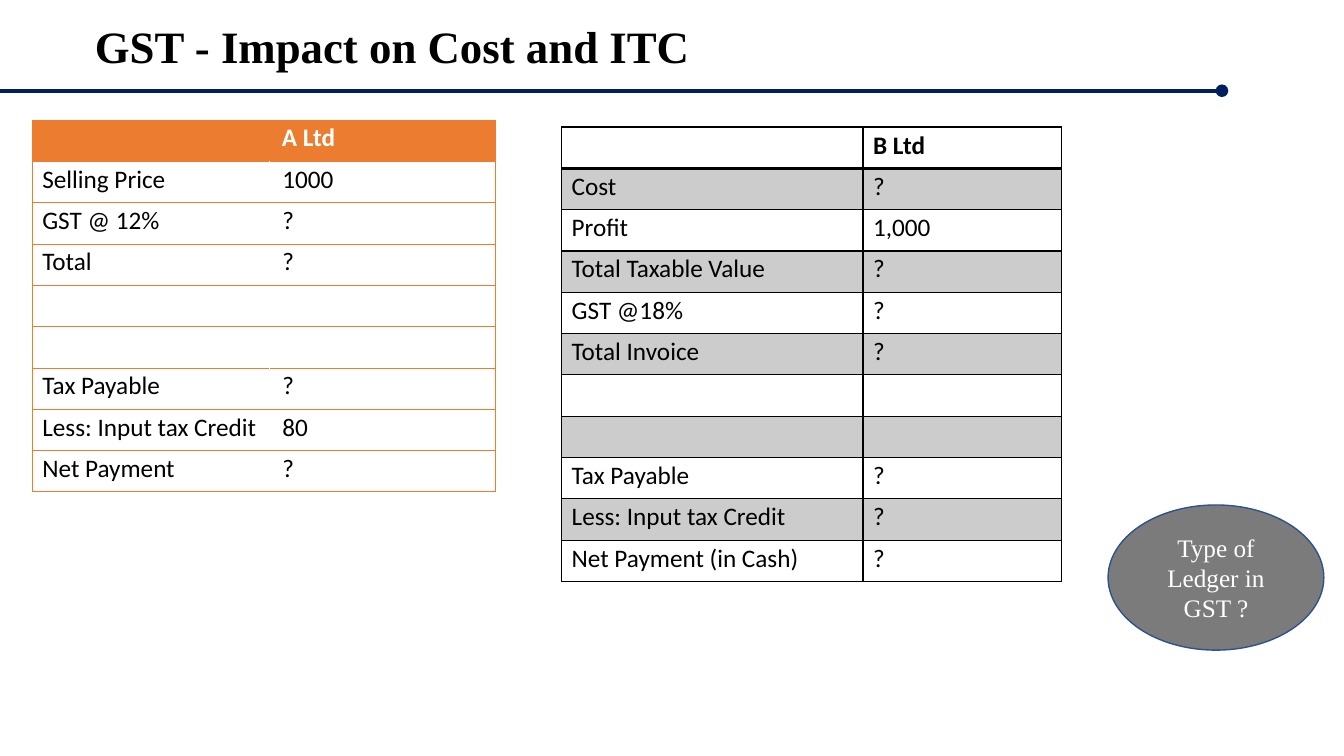
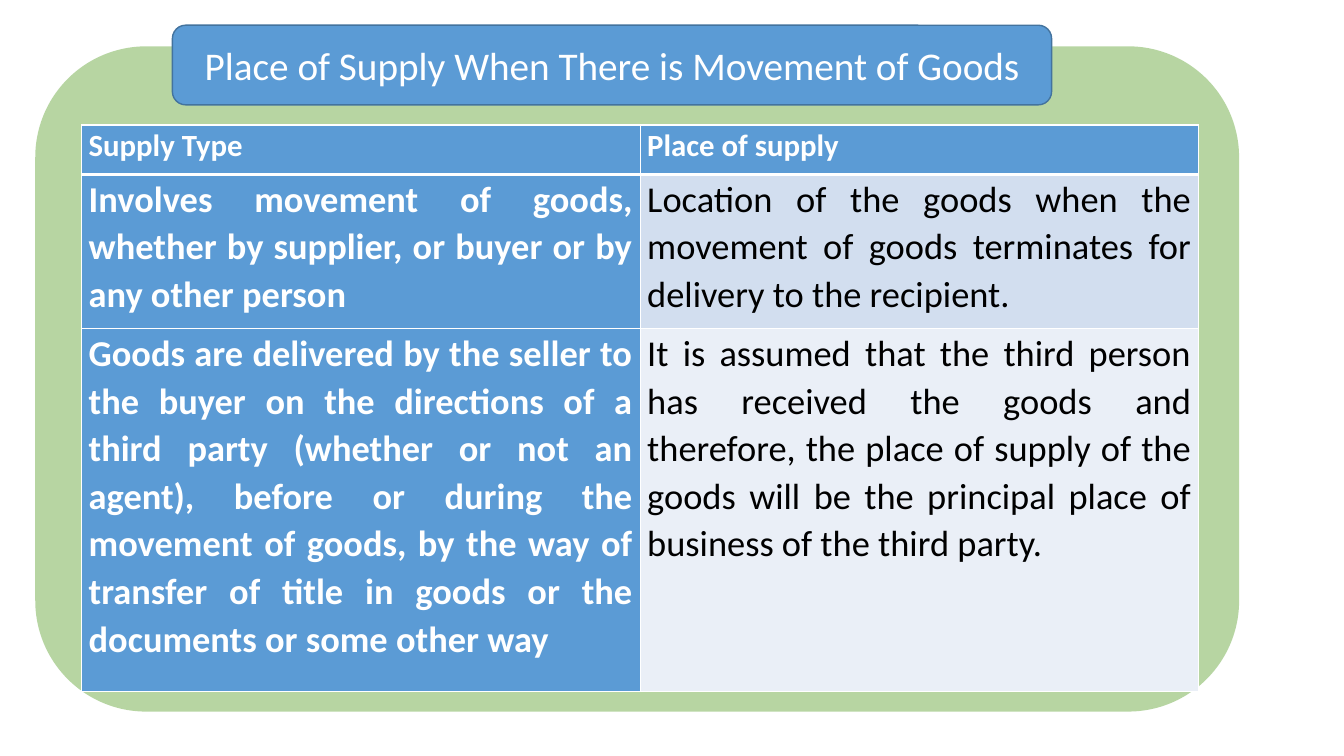
"""Build two slides on GST: cost impact with input tax credit, and place of supply."""
from lxml.etree import SubElement
from pptx import Presentation
from pptx.dml.color import RGBColor
from pptx.enum.shapes import MSO_CONNECTOR, MSO_SHAPE
from pptx.enum.text import MSO_ANCHOR, PP_ALIGN
from pptx.oxml.ns import qn
from pptx.util import Pt

PX = 9144
HUES = {
    "navy": "001F5F", "orange": "EC7C30", "black": "000000", "white": "FFFFFF",
    "silver": "CCCCCC", "grey": "7B7B7B", "rim": "2E528F", "green": "70AD47",
    "blue": "5B9BD5", "edge": "43739E", "pale": "D2DEEF", "mist": "EAEFF7",
}
RGB = {name: RGBColor.from_string(code) for name, code in HUES.items()}
SERIF = "Times New Roman"


def write(frame, text, size, hue, bold=False, font="Calibri", align=PP_ALIGN.LEFT, pitch=None):
    """Fill a text frame with one styled paragraph."""
    frame.text = text
    para = frame.paragraphs[0]
    para.alignment = align
    para.line_spacing = pitch
    for run in para.runs:
        run.font.name = font
        run.font.size = Pt(size)
        run.font.bold = bold
        run.font.color.rgb = RGB[hue]


def grid(slide, left, top, cols, rows, data, fills, line, sizes=(18, 18), thin=1, thick=1,
         inner=True, leads=(10, 10), pad=3, align=PP_ALIGN.LEFT, pitch=None):
    """Draw a table; a None in the second column merges the row."""
    frame = slide.shapes.add_table(len(rows), len(cols), left * PX, top * PX,
                                   sum(cols) * PX, sum(rows) * PX)
    table = frame.table
    table.first_row = table.horz_banding = False
    for col, width in zip(table.columns, cols):
        col.width = width * PX
    for r, (texts, row) in enumerate(zip(data, table.rows)):
        row.height = rows[r] * PX
        merged = texts[1] is None
        if merged:
            table.cell(r, 0).merge(table.cell(r, 1))
        for c, text in enumerate(texts):
            cell = table.cell(r, c)
            cell.margin_left = leads[c] * PX
            cell.margin_right = leads[c] * PX if pitch else 0
            cell.margin_top = pad * PX
            cell.margin_bottom = 0
            sides = {"L": thin, "R": thin, "T": thick if r == 1 else thin,
                     "B": thick if r == 0 else thin}
            if not inner and not merged:
                sides.pop("R" if c == 0 else "L")
            props = cell._tc.get_or_add_tcPr()
            for side, width in sides.items():
                ln = SubElement(props, qn("a:ln" + side), w=str(Pt(width)))
                SubElement(SubElement(ln, qn("a:solidFill")), qn("a:srgbClr"), val=HUES[line])
            hue = fills[r][c]
            if hue:
                cell.fill.solid()
                cell.fill.fore_color.rgb = RGB[hue]
            else:
                cell.fill.background()
            strong = hue in ("orange", "blue")
            if text:
                write(cell.text_frame, text, sizes[min(r, 1)], "white" if strong else "black",
                      strong or r == 0, align=align, pitch=pitch)
    return table


deck = Presentation()
deck.slide_width = 1333 * PX
deck.slide_height = 750 * PX
cost, place = [deck.slides.add_slide(deck.slide_layouts[6]) for _ in range(2)]

rule = cost.shapes.add_connector(MSO_CONNECTOR.STRAIGHT, 0, 90 * PX, 1212 * PX, 90 * PX)
rule.line.color.rgb = RGB["navy"]
rule.line.width = Pt(3)
SubElement(rule.line._get_or_add_ln(), qn("a:tailEnd"), type="oval")
SubElement(rule._element.spPr, qn("a:effectLst"))

sales = [
    ("A Ltd", None), ("Selling Price", "1000"), ("GST @ 12%", "?"), ("Total", "?"),
    ("", None), ("", None), ("Tax Payable", "?"), ("Less: Input tax Credit", "80"),
    ("Net Payment", "?"),
]
first = grid(cost, 32, 119, [235, 224], [41] * len(sales), sales,
             [["orange"] * 2] + [[None] * 2] * (len(sales) - 1), "orange",
             thin=0.5, thick=0.5, inner=False, leads=(10, 13))
head = first.cell(0, 0)
head.margin_left = 89 * PX
head.text_frame.paragraphs[0].alignment = PP_ALIGN.CENTER

resale = [
    ("", "B Ltd"), ("Cost", "?"), ("Profit", "1,000"), ("Total Taxable Value", "?"),
    ("GST @18%", "?"), ("Total Invoice", "?"), ("", ""), ("", ""), ("Tax Payable", "?"),
    ("Less: Input tax Credit", "?"), ("Net Payment (in Cash)", "?"),
]
bands = [["silver" if r % 2 else None] * 2 for r in range(len(resale))]
grid(cost, 557, 126, [299, 197], [41] * len(resale), resale, bands, "black", thick=2.25)

title = cost.shapes.add_textbox(94 * PX, 17 * PX, 592 * PX, 56 * PX).text_frame
title.margin_left = title.margin_right = title.margin_bottom = 0
title.margin_top = PX
title.vertical_anchor = MSO_ANCHOR.MIDDLE
title.word_wrap = False
write(title, "GST - Impact on Cost and ITC", 32, "black", True, SERIF)

heading = "Place of Supply When There is Movement of Goods"
for slide, kind, box, fill, rim, text, size, font, inset in (
    (cost, MSO_SHAPE.OVAL, (1099, 501, 214, 144), "grey", "rim",
     "Type of Ledger in GST ?", 18, SERIF, 20),
    (place, MSO_SHAPE.ROUNDED_RECTANGLE, (35, 46, 1194, 660), "green", None, "", 0, "", 0),
    (place, MSO_SHAPE.ROUNDED_RECTANGLE, (171, 25, 872, 79), "blue", "edge",
     heading, 28, "Calibri", 10),
):
    shape = slide.shapes.add_shape(kind, *[n * PX for n in box])
    shape.shadow.inherit = False
    shape.fill.solid()
    shape.fill.fore_color.rgb = RGB[fill]
    if rim:
        shape.line.color.rgb = RGB[rim]
        shape.line.width = Pt(1)
    else:
        shape.line.fill.background()
        tint = shape._element.spPr.find(qn("a:solidFill"))[0]
        SubElement(tint, qn("a:alpha"), val="50000")
    if text:
        frame = shape.text_frame
        frame.word_wrap = True
        frame.margin_left = frame.margin_right = inset * PX
        frame.margin_top = frame.margin_bottom = 0
        frame.vertical_anchor = MSO_ANCHOR.MIDDLE
        write(frame, text, size, "white", font=font, align=PP_ALIGN.CENTER)

supply = [
    ("Supply Type", "Place of supply"),
    ("Involves movement of goods, whether by supplier, or buyer or by any other person",
     "Location of the goods when the movement of goods terminates for delivery to the "
     "recipient."),
    ("Goods are delivered by the seller to the buyer on the directions of a third party "
     "(whether or not an agent), before or during the movement of goods, by the way of "
     "transfer of title in goods or the documents or some other way",
     "It is assumed that the third person has received the goods and therefore, the place "
     "of supply of the goods will be the principal place of business of the third party."),
]
grid(place, 81, 124, [554, 554], [49, 153, 360], supply,
     [["blue", hue] for hue in ("blue", "pale", "mist")], "white", sizes=(22, 26), thick=3,
     leads=(7, 7), pad=0, align=PP_ALIGN.JUSTIFY, pitch=1.07)

deck.save("out.pptx")
